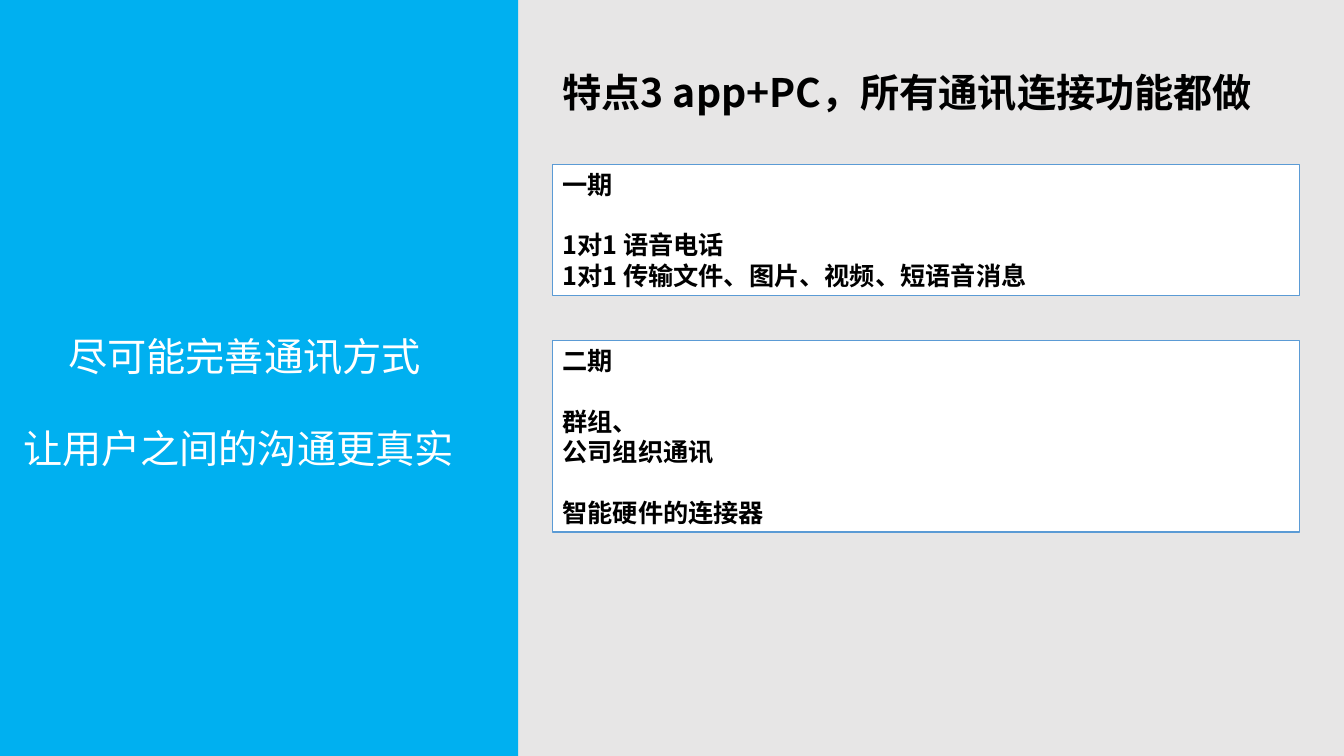
from pptx import Presentation
from pptx.dml.color import RGBColor
from pptx.enum.shapes import MSO_SHAPE
from pptx.enum.text import MSO_ANCHOR, PP_ALIGN
from pptx.oxml.ns import qn
from pptx.util import Inches, Pt
from lxml.etree import SubElement

FONT = "Noto Sans CJK SC"
WIDTH, HEIGHT = 13.33, 7.5
LEADING = 1.2  # line height as a multiple of the text size
PAD = 0.05  # space above and below the text of a box
BLUE, WHITE, BLACK, GREY, EDGE = "00B0F0", "FFFFFF", "000000", "E7E6E6", "5B9BD5"


def colour(value):
    return RGBColor.from_string(value)


def text_height(lines, size):
    return lines * size * LEADING / 72 + 2 * PAD


def place(shape, left, top, width, height):
    shape.left, shape.top = Inches(left), Inches(top)
    shape.width, shape.height = Inches(width), Inches(height)


def write(shape, groups, size=18, color=BLACK, bold=False):
    """Write groups of lines, with one line of space between groups."""
    frame = shape.text_frame
    frame.word_wrap = True
    frame.vertical_anchor = MSO_ANCHOR.TOP
    frame.margin_left = frame.margin_right = Inches(0.1)
    frame.margin_top = frame.margin_bottom = Inches(PAD)
    lines = [(line, g > 0 and n == 0)
             for g, group in enumerate(groups) for n, line in enumerate(group)]
    for index, (line, starts_group) in enumerate(lines):
        paragraph = frame.add_paragraph() if index else frame.paragraphs[0]
        paragraph.alignment = PP_ALIGN.LEFT
        paragraph.line_spacing = Pt(size * LEADING)
        paragraph.space_before = Pt(size * LEADING if starts_group else 0)
        run = paragraph.add_run()
        run.text = line
        run.font.name, run.font.size, run.font.bold = FONT, Pt(size), bold
        run.font.color.rgb = colour(color)
        SubElement(run.font._element, qn("a:ea"), typeface=FONT)


def add_rect(slide, left, top, width, height, fill, line=None):
    rect = slide.shapes.add_shape(
        MSO_SHAPE.RECTANGLE, *map(Inches, (left, top, width, height)))
    rect.shadow.inherit = False
    rect.fill.solid()
    rect.fill.fore_color.rgb = colour(fill)
    if line:
        rect.line.color.rgb = colour(line)
        rect.line.width = Pt(1)
    else:
        rect.line.fill.background()
    return rect


def add_slogan_panel(slide, left, top, width, height):
    add_rect(slide, left, top, width, height, BLUE)
    slogans = [("尽可能完善通讯方式", 0.58, 3.25, 4.4),
               ("让用户之间的沟通更真实", 0.13, 4.16, 4.89)]
    for slogan, dx, dy, slogan_width in slogans:
        box = slide.shapes.add_textbox(0, 0, 0, 0)
        place(box, left + dx, top + dy, slogan_width, text_height(1, 28))
        write(box, [[slogan]], size=28, color=WHITE)


def add_feature_column(slide, left, top, width):
    heading = slide.shapes.title
    place(heading, left, top, WIDTH - left, text_height(1, 28))
    write(heading, [["特点3 app+PC，所有通讯连接功能都做"]], size=28, bold=True)

    phases = [
        [["一期"], ["1对1 语音电话", "1对1 传输文件、图片、视频、短语音消息"]],
        [["二期"], ["群组、", "公司组织通讯"], ["智能硬件的连接器"]],
    ]
    phase_top = top + 1
    for phase in phases:
        line_count = sum(map(len, phase)) + len(phase) - 1
        height = text_height(line_count, 18)
        card = add_rect(slide, left, phase_top, width, height, WHITE, line=EDGE)
        write(card, phase, bold=True)
        phase_top += height + 0.45


def main():
    deck = Presentation()
    deck.slide_width, deck.slide_height = Inches(WIDTH), Inches(HEIGHT)
    slide = deck.slides.add_slide(deck.slide_layouts[5])
    slide.background.fill.solid()
    slide.background.fill.fore_color.rgb = colour(GREY)
    add_slogan_panel(slide, 0, 0, 5.14, HEIGHT)
    add_feature_column(slide, 5.48, 0.63, 7.41)
    deck.save("out.pptx")


if __name__ == "__main__":
    main()
